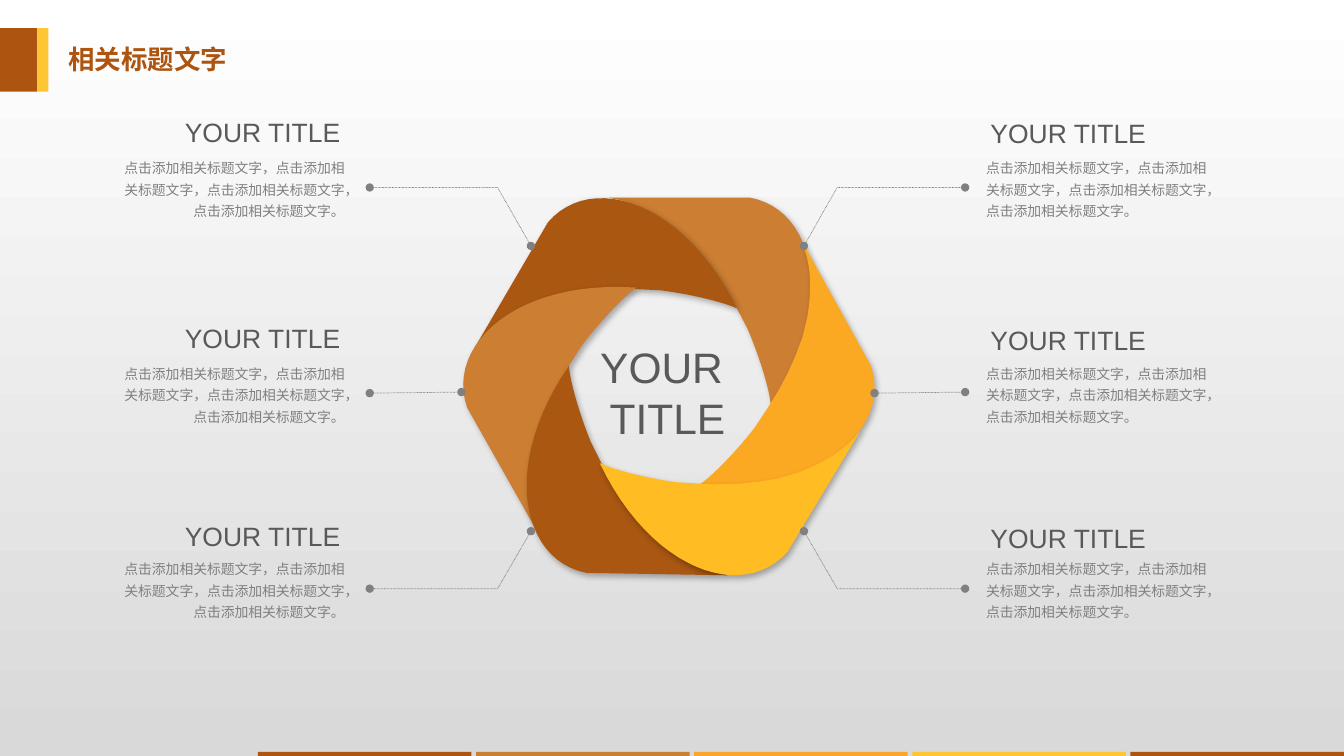
from dataclasses import dataclass

import pptx
import pptx.dml.color
import pptx.enum.dml
import pptx.enum.shapes
import pptx.enum.text
import pptx.oxml
import pptx.oxml.ns
import pptx.util

Inches = pptx.util.Inches
Pt = pptx.util.Pt
RGB = pptx.dml.color.RGBColor.from_string
Align = pptx.enum.text.PP_ALIGN
Anchor = pptx.enum.text.MSO_ANCHOR


@dataclass(frozen=True)
class Theme:
    font: str = "Arial"
    rust: str = "AD5410"
    copper: str = "C98033"
    orange: str = "FCA52C"
    yellow: str = "FFC633"
    blade_rust: str = "A95711"
    blade_copper: str = "CC7E33"
    blade_orange: str = "FBA823"
    blade_yellow: str = "FFBD23"
    heading: str = "595959"
    grey: str = "808080"
    background: tuple = ("FFFFFF", "D9D9D9")
    center_size: float = 30.4
    title_size: float = 18.9
    body_size: float = 9.9


theme = Theme()


def add_text(box, lines, size, color, align=Align.LEFT, anchor=Anchor.TOP,
             inset=(0.1, 0.05), wrap=True, bold=False, spacing=None):
    frame = slide.shapes.add_textbox(*map(Inches, box)).text_frame
    frame.word_wrap = wrap
    frame.auto_size = pptx.enum.text.MSO_AUTO_SIZE.SHAPE_TO_FIT_TEXT
    frame.vertical_anchor = anchor
    frame.margin_left = frame.margin_right = Inches(inset[0])
    frame.margin_top = frame.margin_bottom = Inches(inset[1])
    frame.text = "\n".join(lines)
    for paragraph in frame.paragraphs:
        paragraph.alignment = align
        paragraph.line_spacing = spacing
        paragraph.font.name = theme.font
        paragraph.font.size = Pt(size)
        paragraph.font.bold = bold
        paragraph.font.color.rgb = RGB(color)


def style_leader(shape):
    shape.line.color.rgb = RGB(theme.grey)
    shape.line.width = Pt(0.5)
    shape.line.dash_style = pptx.enum.dml.MSO_LINE.ROUND_DOT
    outline = shape.line._get_or_add_ln()
    for tag in ("a:headEnd", "a:tailEnd"):
        end = pptx.oxml.parse_xml(f'<{tag} {pptx.oxml.ns.nsdecls("a")} type="oval"/>')
        outline.append(end)
    properties = shape._element.spPr
    properties.append(pptx.oxml.parse_xml(f'<a:effectLst {pptx.oxml.ns.nsdecls("a")}/>'))


presentation = pptx.Presentation()
presentation.slide_width = Inches(13.34)
presentation.slide_height = Inches(7.5)
slide = presentation.slides.add_slide(presentation.slide_layouts[6])

# Background
background = slide.background.fill
background.gradient()
background.gradient_angle = 270
for stop, color, position in zip(background.gradient_stops, theme.background, (0, 0.99)):
    stop.color.rgb = RGB(color)
    stop.position = position

# Title marker and footer stripes
stripe_left, stripe_width = 2.56, 2.12
stripe_step = (13.34 - stripe_width - stripe_left) / 4
bars = [(0.37, 0.28, 0.11, 0.63, theme.yellow), (0, 0.28, 0.37, 0.63, theme.rust)]
stripe_colors = (theme.rust, theme.copper, theme.orange, theme.yellow, theme.rust)
for index, color in enumerate(stripe_colors):
    bars.append((stripe_left + index * stripe_step, 7.46, stripe_width, 0.05, color))
for *box, color in bars:
    bar = slide.shapes.add_shape(pptx.enum.shapes.MSO_SHAPE.RECTANGLE, *map(Inches, box))
    bar.shadow.inherit = False
    bar.fill.solid()
    bar.fill.fore_color.rgb = RGB(color)
    bar.line.fill.background()

add_text((0.58, 0.38, 1.97, 0.42), ["相关标题文字"], theme.title_size, theme.rust, bold=True)

# One blade outline: six-number entries are cubic curves, pairs are straight segments
blade_outline = [
    (0, 0), (1.4, 0), (2.06, 0.12, 2.26, 1.07, 1.61, 2.05),
    (1.6, 1.93, 1.52, 1.63, 1.38, 1.3), (1.27, 1.09), (1.18, 0.93), (1.07, 0.76),
    (0.95, 0.6), (0.83, 0.46), (0.69, 0.33), (0.47, 0.15, 0.25, 0.04, 0.04, 0.01),
]
blade_points = []
for entry in blade_outline:
    if len(entry) == 2:
        blade_points.append(entry)
        continue
    x0, y0 = blade_points[-1]
    x1, y1, x2, y2, x3, y3 = entry
    for step in range(1, 25):
        t = step / 24
        weights = ((1 - t) ** 3, 3 * t * (1 - t) ** 2, 3 * t * t * (1 - t), t ** 3)
        blade_points.append((
            sum(w * x for w, x in zip(weights, (x0, x1, x2, x3))),
            sum(w * y for w, y in zip(weights, (y0, y1, y2, y3))),
        ))

# Six blades turned around the hexagon
blades = [
    (6.04, 1.96, 0, theme.blade_copper),
    (5.12, 2.04, 300.3, theme.blade_rust),
    (4.72, 2.86, 240.5, theme.blade_copper),
    (5.23, 3.64, 181, theme.blade_rust),
    (6.55, 2.75, 61, theme.blade_orange),
    (6.14, 3.58, 121.1, theme.blade_yellow),
]
for left, top, rotation, color in blades:
    points = [(Inches(left + x), Inches(top + y)) for x, y in blade_points]
    builder = slide.shapes.build_freeform(*points[0])
    builder.add_line_segments(points[1:], close=True)
    blade = builder.convert_to_shape()
    blade.rotation = rotation
    blade.fill.solid()
    blade.fill.fore_color.rgb = RGB(color)
    blade.line.fill.background()
    blade._element.spPr.append(pptx.oxml.parse_xml(
        f'<a:effectLst {pptx.oxml.ns.nsdecls("a")}>'
        f'<a:outerShdw blurRad="{Pt(4.5)}" dist="{Pt(2.6)}" dir="{53 * 60000}" '
        'algn="tl" rotWithShape="0"><a:srgbClr val="000000"><a:alpha val="30000"/>'
        '</a:srgbClr></a:outerShdw></a:effectLst>'))

add_text((5.85, 3.33, 1.55, 1.12), ["YOUR ", "TITLE"], theme.center_size,
         theme.heading, Align.CENTER, wrap=False)

# Bent leaders at the four corners
for inner, bend, outer in ((5.27, 4.94, 3.67), (7.98, 8.31, 9.58)):
    for inner_y, outer_y in ((2.44, 1.86), (5.27, 5.84)):
        builder = slide.shapes.build_freeform(Inches(inner), Inches(inner_y))
        bends = [(Inches(bend), Inches(outer_y)), (Inches(outer), Inches(outer_y))]
        builder.add_line_segments(bends, close=False)
        leader = builder.convert_to_shape()
        leader.fill.background()
        style_leader(leader)

# Straight leaders in the middle row
for start, end in ((4.58, 3.67), (9.58, 8.68)):
    leader = slide.shapes.add_connector(
        pptx.enum.shapes.MSO_CONNECTOR.STRAIGHT,
        Inches(start), Inches(3.89), Inches(end), Inches(3.9))
    style_leader(leader)

# Captions: left column reads toward the hexagon, right column away from it
body = "，".join(["点击添加相关标题文字"] * 4) + "。"
columns = [
    (1.22, 2.3, 1.03, 2.49, Align.RIGHT, (1.08, 3.13, 5.09)),
    (9.69, 2.54, 9.69, 2.45, Align.LEFT, (1.09, 3.14, 5.11)),
]
for title_left, title_width, body_left, body_width, align, title_tops in columns:
    for title_top, body_top in zip(title_tops, (1.48, 3.52, 5.46)):
        add_text((title_left, title_top, title_width, 0.46), ["YOUR TITLE"],
                 theme.title_size, theme.heading, align, inset=(0.14, 0.07))
        add_text((body_left, body_top, body_width, 0.75), [body], theme.body_size,
                 theme.grey, align, Anchor.MIDDLE, spacing=1.3)

presentation.save("out.pptx")
